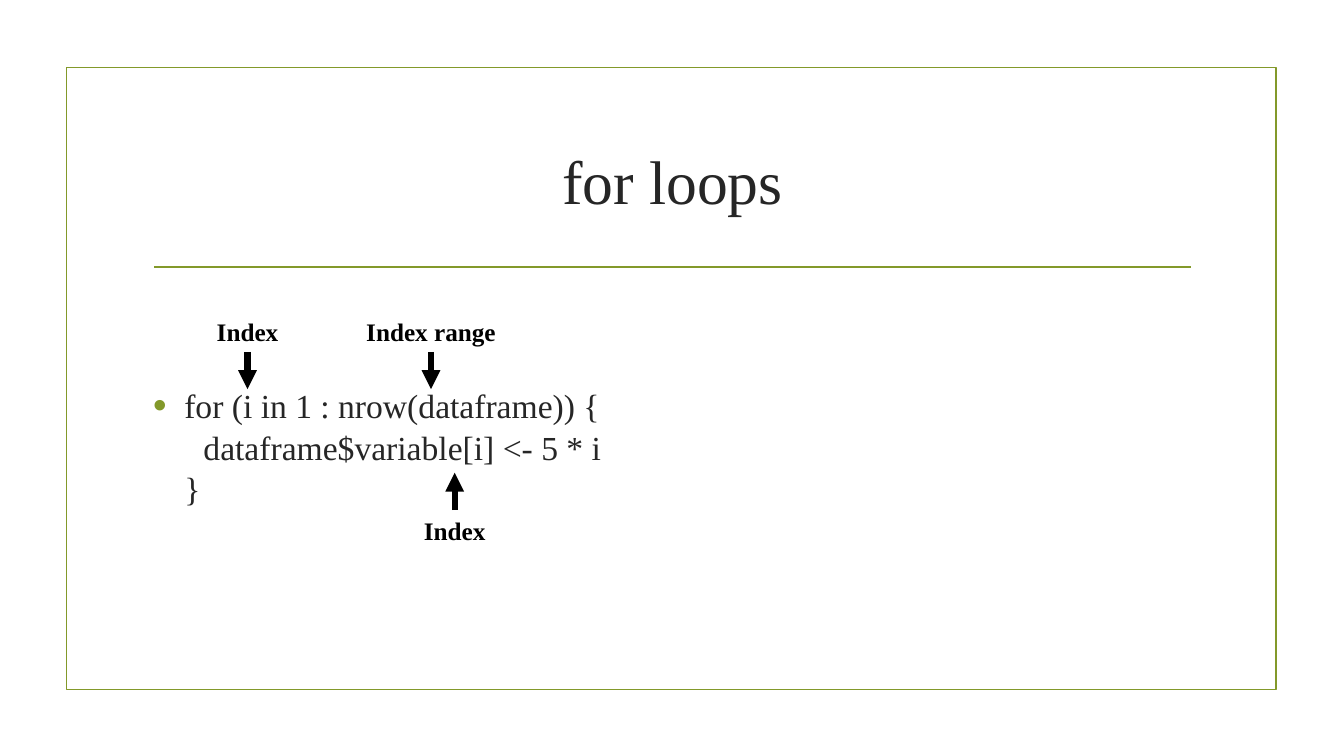
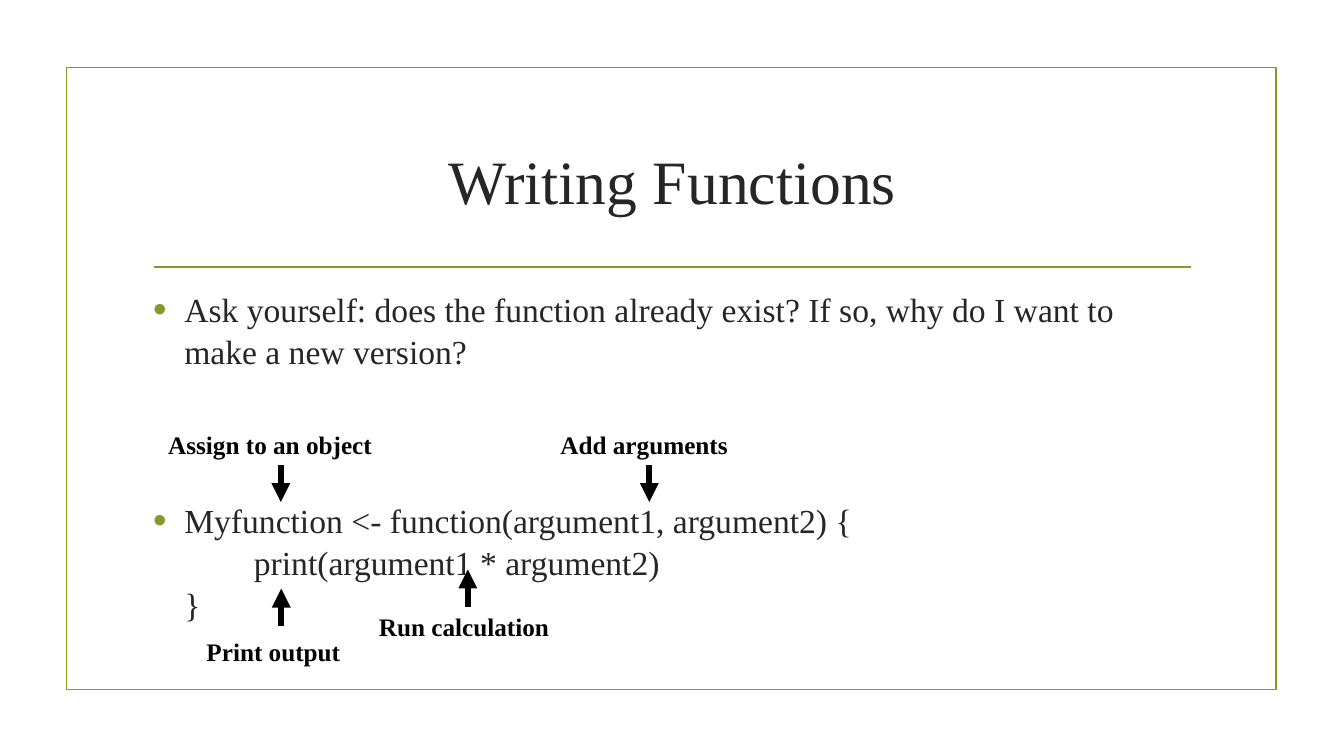
import pptx
import pptx.util
import pptx.dml.color
import pptx.enum.shapes
import pptx.enum.text
import pptx.oxml.ns
import lxml.etree

PX = 9144
FONT = "Times New Roman"
GREEN, INK, BLACK = "83992A", "262626", "000000"
FRAME = (66, 67, 1200, 617)
RULE = (153, 265, 1181, 265)
TITLE = (142, 107, 1050, 143)
ARROW = 37
ALIGN = pptx.enum.text.PP_ALIGN


def emu(*lengths):
    """Turn px lengths into EMU."""
    return [pptx.util.Emu(round(length * PX)) for length in lengths]


def colour(code):
    """Turn a hex string into a colour."""
    return pptx.dml.color.RGBColor.from_string(code)


def add_element(parent, tag, **attributes):
    """Append a drawing element with its attributes."""
    return lxml.etree.SubElement(parent, pptx.oxml.ns.qn(tag), attributes)


def write(para, text, size=24, ink=INK, bold=False, align=ALIGN.LEFT):
    """Write one formatted span into a paragraph."""
    para.alignment = align
    span = para.add_run()
    span.text = text
    span.font.name = FONT
    span.font.size = pptx.util.Pt(size)
    span.font.bold = bold
    span.font.color.rgb = colour(ink)


def add_text_box(page, box):
    """Add a wrapping text box."""
    shape = page.shapes.add_textbox(*emu(*box))
    shape.text_frame.word_wrap = True
    return shape


def add_line(page, ends, ink, width):
    """Add a straight line without a shadow."""
    line = page.shapes.add_connector(
        pptx.enum.shapes.MSO_CONNECTOR.STRAIGHT, *emu(*ends))
    line.line.color.rgb = colour(ink)
    line.line.width = pptx.util.Pt(width)
    add_element(line._element.spPr, "a:effectLst")
    return line


def add_page(deck, title):
    """Add a page with the shared frame, rule and title."""
    page = deck.slides.add_slide(deck.slide_layouts[5])
    frame = page.shapes.add_shape(
        pptx.enum.shapes.MSO_SHAPE.RECTANGLE, *emu(*FRAME))
    frame.shadow.inherit = False
    frame.fill.background()
    frame.line.color.rgb = colour(GREEN)
    frame.line.width = pptx.util.Pt(1.25)
    add_line(page, RULE, GREEN, 1.25)
    heading = page.shapes.title
    heading.left, heading.top, heading.width, heading.height = emu(*TITLE)
    heading.text_frame.vertical_anchor = pptx.enum.text.MSO_ANCHOR.MIDDLE
    write(heading.text_frame.paragraphs[0], title, size=44, align=ALIGN.CENTER)
    return page


def add_body(page, box, lines):
    """Fill a box with (text, indent, bulleted, space before, space after) lines."""
    frame = add_text_box(page, box).text_frame
    for number, (text, indent, bulleted, before, after) in enumerate(lines):
        para = frame.add_paragraph() if number else frame.paragraphs[0]
        write(para, text)
        para.line_spacing = 1.04
        para.space_before = pptx.util.Pt(before)
        para.space_after = pptx.util.Pt(after)
        properties = para._p.get_or_add_pPr()
        properties.set("marL", str(indent * PX))
        properties.set("indent", str(-indent * PX if bulleted else 0))
        if bulleted:
            tint = add_element(properties, "a:buClr")
            add_element(tint, "a:srgbClr", val=GREEN)
            add_element(properties, "a:buSzPct", val="115000")
            add_element(properties, "a:buFont", typeface="Arial")
            add_element(properties, "a:buChar", char="•")


def add_callout(page, text, box, up=False, align=ALIGN.CENTER, shift=None):
    """Add a bold label whose arrow points down, or up, at the code."""
    label = add_text_box(page, box)
    label.text_frame.auto_size = pptx.enum.text.MSO_AUTO_SIZE.SHAPE_TO_FIT_TEXT
    write(label.text_frame.paragraphs[0], text, size=18, ink=BLACK,
          bold=True, align=align)
    left, top, width, height = box
    across, down = shift or (0, 0)
    x = left + width / 2 + across
    y = (top if up else top + height) + down
    tip = y - ARROW if up else y + ARROW
    arrow = add_line(page, (x, y, x, tip), BLACK, 4.5)
    outline = arrow._element.spPr.find(pptx.oxml.ns.qn("a:ln"))
    add_element(outline, "a:tailEnd", type="triangle")
    if shift is None:
        arrow.begin_connect(label, 0 if up else 2)


def add_loops_page(deck):
    """Add the page on for loops."""
    page = add_page(deck, "for loops")
    add_body(page, (142, 375, 1050, 187), [
        ("for (i in 1 : nrow(dataframe)) {", 31, True, 0, 0),
        ("dataframe$variable[i] <- 5 * i", 50, False, 0, 0),
        ("}", 31, False, 0, 6),
    ])
    add_callout(page, "Index", (124, 309, 243, 40))
    add_callout(page, "Index range", (306, 309, 243, 40))
    add_callout(page, "Index", (353, 506, 196, 40), up=True)


def add_functions_page(deck):
    """Add the page on writing functions."""
    page = add_page(deck, "Writing Functions")
    add_body(page, (142, 280, 1050, 363), [
        ("Ask yourself: does the function already exist? "
         "If so, why do I want to make a new version?", 31, True, 0, 6),
        ("Myfunction <- function(argument1, argument2) {", 31, True, 85, 0),
        ("print(argument1 * argument2)", 100, False, 0, 0),
        ("}", 31, False, 0, 6),
    ])
    for text, box, up, shift in [
        ("Assign to an object", (157, 421, 243, 40), False, None),
        ("Add arguments", (546, 421, 196, 40), False, None),
        ("Run calculation", (366, 602, 196, 40), True, None),
        ("Print output", (195, 626, 196, 40), True, (-14, -5)),
    ]:
        add_callout(page, text, box, up=up, align=ALIGN.LEFT, shift=shift)


def main():
    """Build and save the deck."""
    deck = pptx.Presentation()
    deck.slide_width, deck.slide_height = emu(1333, 750)
    add_loops_page(deck)
    add_functions_page(deck)
    deck.save("out.pptx")


if __name__ == "__main__":
    main()
